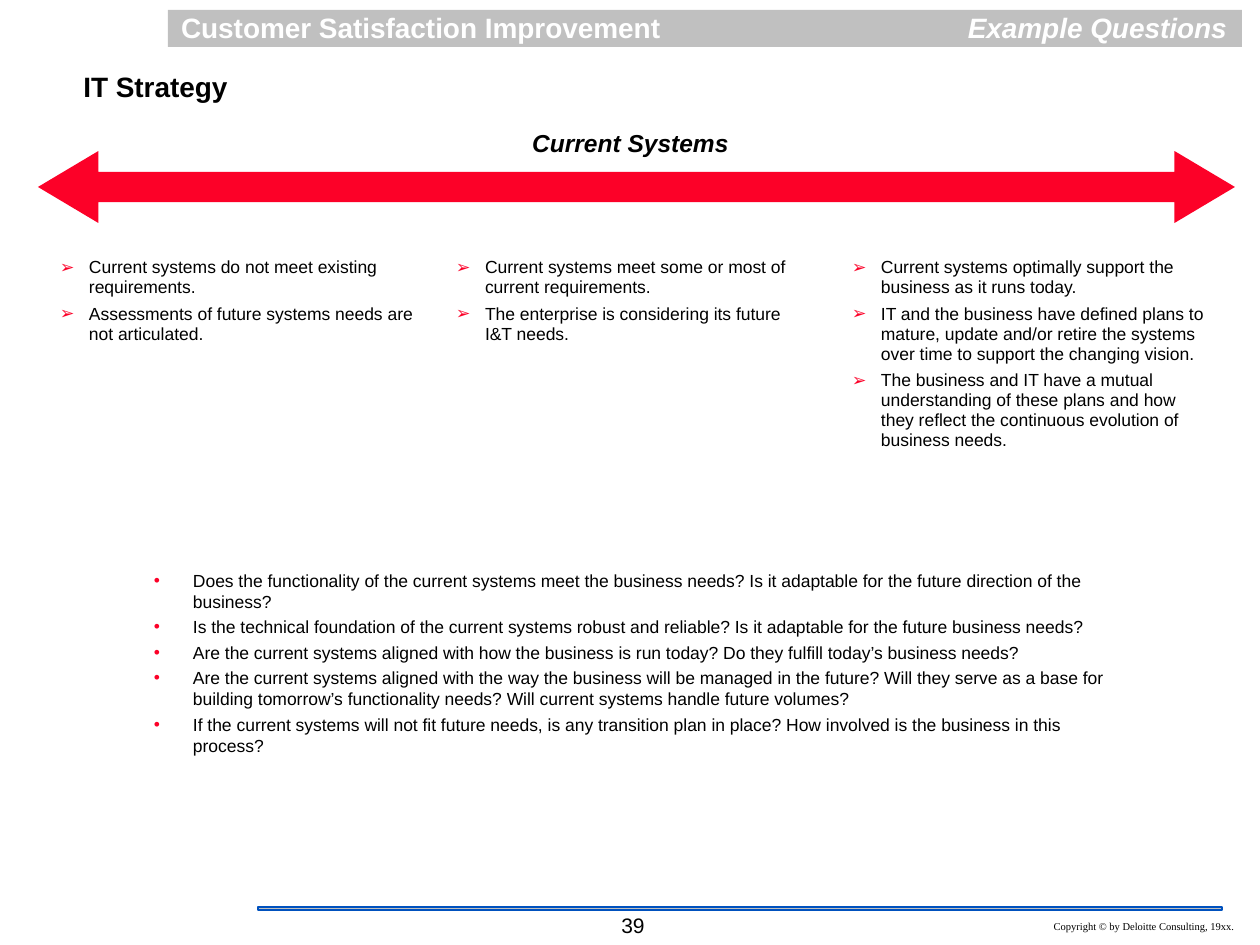
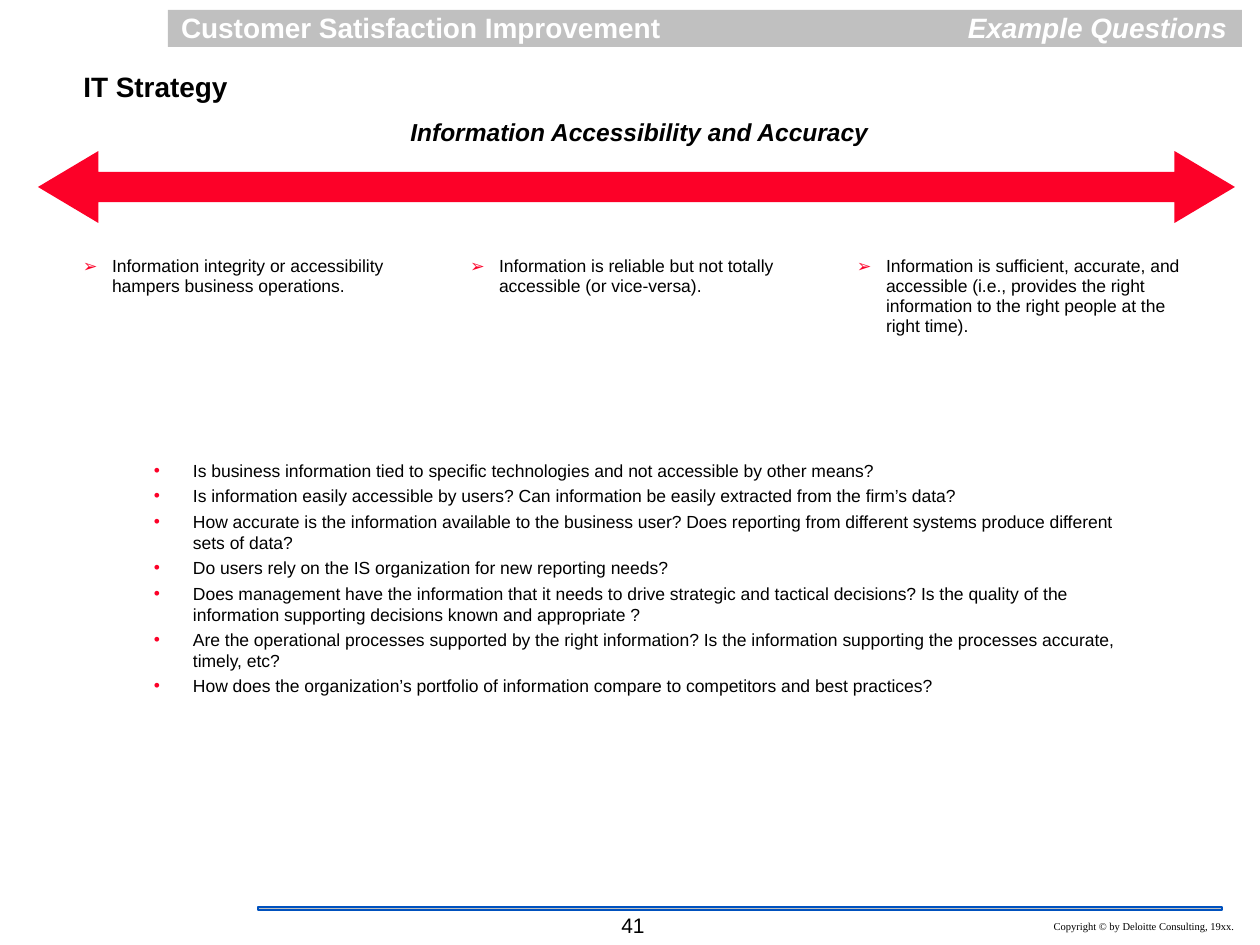
from dataclasses import dataclass

from lxml.etree import SubElement
from pptx import Presentation
from pptx.dml.color import RGBColor
from pptx.enum.shapes import MSO_SHAPE
from pptx.enum.text import MSO_ANCHOR, PP_ALIGN
from pptx.oxml.ns import qn
from pptx.util import Emu, Pt

SCALE = 914400 / 126
LEFT, MID, RIGHT = PP_ALIGN.LEFT, PP_ALIGN.CENTER, PP_ALIGN.RIGHT


def px(count):
    return Emu(round(count * SCALE))


@dataclass(frozen=True)
class Theme:
    sans: str = "Arial"
    serif: str = "Times New Roman"
    black: str = "000000"
    white: str = "FFFFFF"
    gray: str = "C0C0C0"
    red: str = "FC0128"
    blue: str = "0051BE"
    band: int = 16
    head: int = 14
    page: int = 12
    body: int = 10
    legal: int = 6


class Deck:
    def __init__(self, theme):
        self.theme = theme
        self.file = Presentation()
        self.file.slide_width, self.file.slide_height = px(1260), px(945)
        self.slide = None

    def start(self):
        self.slide = self.file.slides.add_slide(self.file.slide_layouts[6])

    def shape(self, kind, box, fill, line=None):
        item = self.slide.shapes.add_shape(kind, *map(px, box))
        item.shadow.inherit = False
        item.fill.solid()
        item.fill.fore_color.rgb = RGBColor.from_string(fill)
        if line:
            item.line.color.rgb = RGBColor.from_string(line)
            item.line.width = Pt(1)
        else:
            item.line.fill.background()
        return item

    def frame(self, box, inset, anchor=MSO_ANCHOR.TOP):
        item = self.slide.shapes.add_textbox(*map(px, box))
        frame = item.text_frame
        frame.word_wrap = True
        frame.vertical_anchor = anchor
        frame.margin_left = frame.margin_right = px(inset[0])
        frame.margin_top = frame.margin_bottom = px(inset[1])
        return item

    def style(self, para, size, color, font=None, bold=False, slant=False):
        for run in para.runs:
            run.font.name = font or self.theme.sans
            run.font.size = Pt(size)
            run.font.bold, run.font.italic = bold, slant
            run.font.color.rgb = RGBColor.from_string(color)

    def label(self, text, box, size, color, align=LEFT, space=1.0,
              inset=(13, 6), anchor=MSO_ANCHOR.TOP, fill=None, **look):
        item = self.frame(box, inset, anchor)
        if fill:
            item.fill.solid()
            item.fill.fore_color.rgb = RGBColor.from_string(fill)
        item.text_frame.text = text
        para = item.text_frame.paragraphs[0]
        para.alignment, para.line_spacing = align, space
        self.style(para, size, color, **look)

    def bullet(self, para, mark, margin, hang):
        props = para._p.get_or_add_pPr()
        props.set("marL", str(px(margin)))
        props.set("indent", str(px(-hang)))
        color = SubElement(props, qn("a:buClr"))
        SubElement(color, qn("a:srgbClr")).set("val", self.theme.red)
        SubElement(props, qn("a:buFont")).set("typeface", self.theme.sans)
        SubElement(props, qn("a:buChar")).set("char", mark)

    def points(self, lines, box, inset, mark, margin, hang, space, gap):
        frame = self.frame(box, inset).text_frame
        frame.text = "\n".join(lines)
        for spot, para in enumerate(frame.paragraphs):
            self.bullet(para, mark, margin, hang)
            para.line_spacing = space
            para.space_before = Pt(gap if spot else 0)
            self.style(para, self.theme.body, self.theme.black)

    def common(self, page):
        look = self.theme
        self.shape(MSO_SHAPE.RECTANGLE, (168, 10, 1074, 37), look.gray)
        self.label("Customer Satisfaction Improvement", (168, 9, 536, 37),
                   look.band, look.white, space=0.89, bold=True)
        self.label("Example Questions", (683, 9, 557, 42), look.band,
                   look.white, RIGHT, 0.89, bold=True, slant=True)
        self.label("IT Strategy", (38, 67, 235, 42), look.band, look.black,
                   MID, 0.95, (5, 5), MSO_ANCHOR.MIDDLE, bold=True)
        self.shape(MSO_SHAPE.RECTANGLE, (258, 907, 964, 3), look.gray, look.blue)
        self.label(page, (603, 907, 60, 38), look.page, look.black, MID)
        self.label("Copyright © by Deloitte Consulting, 19xx.", (956, 914, 291, 25),
                   look.legal, look.black, RIGHT, font=look.serif)

    def arrow(self):
        item = self.shape(MSO_SHAPE.LEFT_RIGHT_ARROW, (38, 151, 1197, 72),
                          self.theme.red)
        item.adjustments[0], item.adjustments[1] = 0.42, 0.84

    def title(self, text, left, top):
        look = self.theme
        self.label(text, (left, top, 1031, 38), look.head, look.black, MID, 0.87,
                   (11, 6), MSO_ANCHOR.MIDDLE, look.white, bold=True, slant=True)

    def levels(self, groups, left, top, step, width, height):
        for spot, lines in enumerate(groups):
            box = (left + spot * step, top, width, height)
            self.points(lines, box, (11, 10), "➢", 29, 29, 0.95, 3.7)

    def queries(self, lines, top, height):
        self.points(lines, (86, top, 1060, height), (11, 6), "•", 96, 39, 1.0, 2.5)


SLIDES = [
    {
        "page": "39",
        "title": ("Current Systems", 115, 126),
        "grid": (49, 248, 396, 378, 310),
        "levels": [
            ["Current systems do not meet existing requirements.",
             "Assessments of future systems needs are not articulated."],
            ["Current systems meet some or most of current requirements.",
             "The enterprise is considering its future I&T needs."],
            ["Current systems optimally support the business as it runs today.",
             "IT and the business have defined plans to mature, update and/or "
             "retire the systems over time to support the changing vision.",
             "The business and IT have a mutual understanding of these plans and "
             "how they reflect the continuous evolution of business needs."],
        ],
        "place": (564, 223),
        "queries": [
            "Does the functionality of the current systems meet the business needs? "
            "Is it adaptable for the future direction of the business?",
            "Is the technical foundation of the current systems robust and reliable? "
            "Is it adaptable for the future business needs?",
            "Are the current systems aligned with how the business is run today? "
            "Do they fulfill today’s business needs?",
            "Are the current systems aligned with the way the business will be "
            "managed in the future? Will they serve as a base for building "
            "tomorrow’s functionality needs? Will current systems handle future "
            "volumes?",
            "If the current systems will not fit future needs, is any transition "
            "plan in place? How involved is the business in this process?",
        ],
    },
    {
        "page": "41",
        "title": ("Information Accessibility and Accuracy", 124, 115),
        "grid": (72, 247, 387, 359, 206),
        "levels": [
            ["Information integrity or accessibility hampers business operations."],
            ["Information is reliable but not totally accessible (or vice-versa)."],
            ["Information is sufficient, accurate, and accessible (i.e., provides "
             "the right information to the right people at the right time)."],
        ],
        "place": (454, 304),
        "queries": [
            "Is business information tied to specific technologies and not "
            "accessible by other means?",
            "Is information easily accessible by users? Can information be easily "
            "extracted from the firm’s data?",
            "How accurate is the information available to the business user? Does "
            "reporting from different systems produce different sets of data?",
            "Do users rely on the IS organization for new reporting needs?",
            "Does management have the information that it needs to drive strategic "
            "and tactical decisions? Is the quality of the information supporting "
            "decisions known and appropriate ?",
            "Are the operational processes supported by the right information? Is "
            "the information supporting the processes accurate, timely, etc?",
            "How does the organization’s portfolio of information compare to "
            "competitors and best practices?",
        ],
    },
]


def main():
    deck = Deck(Theme())
    for data in SLIDES:
        deck.start()
        deck.common(data["page"])
        deck.levels(data["levels"], *data["grid"])
        deck.arrow()
        deck.title(*data["title"])
        deck.queries(data["queries"], *data["place"])
    deck.file.save("out.pptx")


if __name__ == "__main__":
    main()
